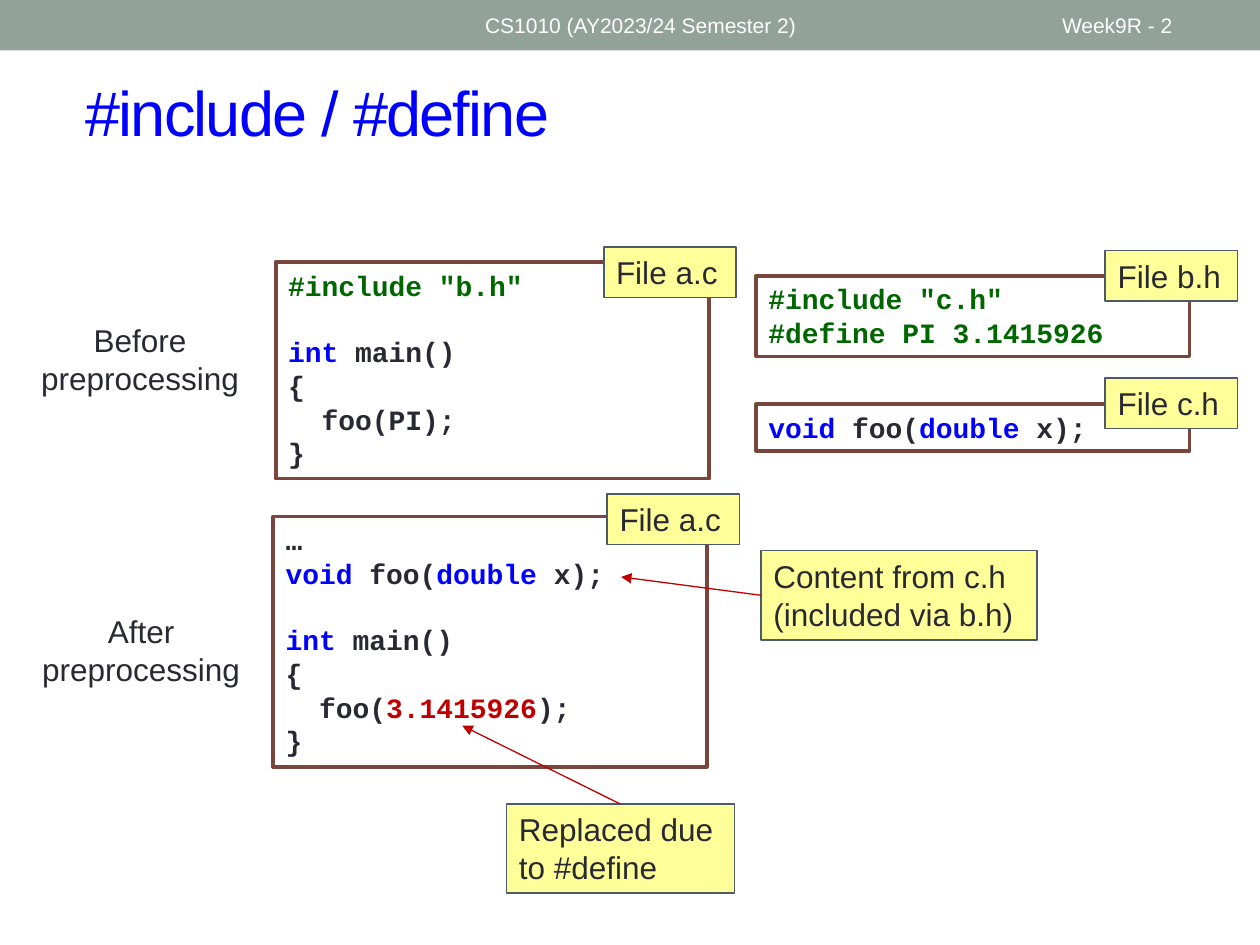
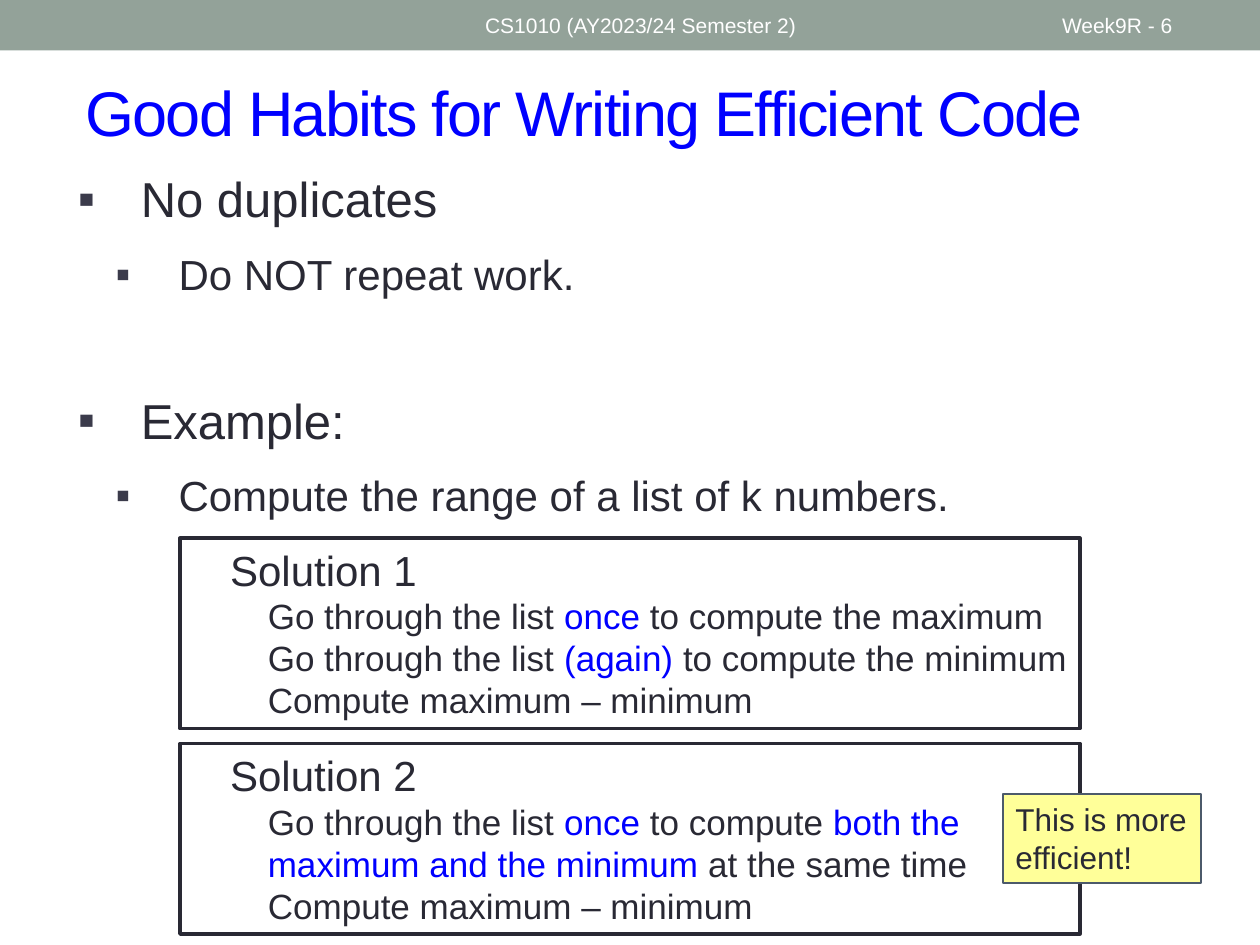
from pptx import Presentation
from pptx.dml.color import RGBColor
from pptx.enum.shapes import MSO_CONNECTOR, MSO_SHAPE
from pptx.enum.text import MSO_ANCHOR, PP_ALIGN
from pptx.oxml.ns import qn
from pptx.util import Cm, Pt
from lxml.etree import SubElement

WHITE = RGBColor(0xFF, 0xFF, 0xFF)
INK = RGBColor(0x29, 0x29, 0x34)
BLUE = RGBColor(0x00, 0x00, 0xFF)
GREEN = RGBColor(0x00, 0x66, 0x00)
RED = RGBColor(0xC0, 0x00, 0x00)
BAND = RGBColor(0x93, 0xA2, 0x99)
BROWN = RGBColor(0x79, 0x46, 0x3D)
YELLOW = RGBColor(0xFF, 0xFF, 0x99)
SLATE = RGBColor(0x4C, 0x5A, 0x6A)
BULLET = RGBColor(0x3B, 0x3B, 0x4B)

SANS, MONO = "Arial", "Courier New"
SLIDE_W, SLIDE_H = 25.4, 19.05
CODE_W = 8.74
TAG_W, TAG_H = 2.67, 1.02
NOTE_H = 1.8
CODE_GAP = 19  # points: one empty line of code


def add_box(slide, box, fill, line=None, width=1):
    s = slide.shapes.add_shape(MSO_SHAPE.RECTANGLE, *map(Cm, box))
    s.shadow.inherit = False
    s.fill.solid()
    s.fill.fore_color.rgb = fill
    if line is None:
        s.line.fill.background()
    else:
        s.line.color.rgb = line
        s.line.width = Pt(width)
    tf = s.text_frame
    tf.word_wrap = True
    tf.vertical_anchor = MSO_ANCHOR.TOP
    tf.margin_right = 0
    return s


def add_text(slide, box, anchor=MSO_ANCHOR.MIDDLE):
    tf = slide.shapes.add_textbox(*map(Cm, box)).text_frame
    tf.word_wrap = True
    tf.vertical_anchor = anchor
    return tf


def add_para(tf, runs, size, font=SANS, color=INK, bold=False, align=PP_ALIGN.LEFT,
             before=0, margin=0, hang=0, bullet=None):
    """Add a paragraph; each run is a text or a (text, colour) pair."""
    p = tf.paragraphs[0]
    if p.runs:
        p = tf.add_paragraph()
    pPr = p._p.get_or_add_pPr()
    pPr.set("marL", str(Cm(margin)))
    pPr.set("indent", str(Cm(-hang)))
    p.alignment = align
    if before:
        p.space_before = Pt(before)
    if bullet:
        clr = SubElement(pPr, qn("a:buClr"))
        SubElement(clr, qn("a:srgbClr"), val=str(BULLET))
        SubElement(pPr, qn("a:buFont"), typeface=SANS)
        SubElement(pPr, qn("a:buChar"), char=bullet)
    for run in runs:
        text, run_color = (run, color) if isinstance(run, str) else run
        r = p.add_run()
        r.text = text
        r.font.size = Pt(size)
        r.font.name = font
        r.font.bold = bold
        r.font.color.rgb = run_color
    return p


def add_frame(prs, title, number):
    """Add a slide with the band, its two captions and the title."""
    slide = prs.slides.add_slide(prs.slide_layouts[6])
    add_box(slide, (0, 0, SLIDE_W, 1.02), BAND)
    p = add_para(add_text(slide, (1.47, 1.07, 23.29, 2.34)), [title], 36, color=BLUE)
    p.runs[0].font._element.set("spc", "-100")
    for left, width, caption in ((9.53, 11.43, "CS1010 (AY2023/24 Semester 2)"),
                                 (21.16, 2.97, f"Week9R - {number}")):
        add_para(add_text(slide, (left, 0.05, width, 0.91)), [caption], 12, color=WHITE)
    return slide


def add_note(slide, box, text):
    s = add_box(slide, box, YELLOW, SLATE)
    add_para(s.text_frame, [text], 18)
    return s


def add_code(slide, left, top, height, lines, name, tag_dx, tag_dy):
    """Add a listing with its file tag; None in lines leaves a line's gap."""
    tf = add_box(slide, (left, top, CODE_W, height), WHITE, BROWN, 2.08).text_frame
    gap = 0
    for line in lines:
        if line is None:
            gap = CODE_GAP
            continue
        add_para(tf, line, 16, MONO, bold=True, before=gap)
        gap = 0
    add_note(slide, (left + tag_dx, top + tag_dy, TAG_W, TAG_H), name)


def add_pointer(slide, note, site, x, y):
    """Draw an arrow from a side of the note to a point."""
    c = slide.shapes.add_connector(MSO_CONNECTOR.STRAIGHT, 0, 0, Cm(x), Cm(y))
    c.begin_connect(note, site)
    c.line.color.rgb = RED
    c.line.width = Pt(0.75)
    SubElement(c.line._get_or_add_ln(), qn("a:tailEnd"), type="triangle")
    SubElement(c._element.spPr, qn("a:effectLst"))


def add_solution(slide, box, heading, steps):
    tf = add_box(slide, box, WHITE, INK, 2.08).text_frame
    add_para(tf, [heading], 24, margin=0.76)
    for step in steps:
        add_para(tf, step, 20, margin=1.52)


def build_preprocessing(prs):
    slide = add_frame(prs, "#include / #define", 2)
    prototype = [("void ", BLUE), "foo(", ("double ", BLUE), "x);"]
    main_head = [[("int ", BLUE), "main()"], ["{"]]

    add_code(slide, 5.56, 5.28, 4.37,
             [[('#include "b.h"', GREEN)], None, *main_head, ["  foo(PI);"], ["}"]],
             "File a.c", 6.61, -0.3)
    add_code(slide, 15.24, 5.56, 1.63,
             [[('#include "c.h"', GREEN)], [("#define PI 3.1415926", GREEN)]],
             "File b.h", 7.04, -0.51)
    add_code(slide, 15.24, 8.15, 0.94, [prototype], "File c.h", 7.04, -0.53)
    add_code(slide, 5.51, 10.41, 5.05,
             [["…"], prototype, None, *main_head,
              ["  foo(", ("3.1415926", RED), ");"], ["}"]],
             "File a.c", 6.73, -0.45)

    for left, top, stage in ((0.41, 5.99, "Before"), (0.43, 11.86, "After")):
        add_para(add_text(slide, (left, top, 4.83, 2.49)),
                 [f"{stage} preprocessing"], 18, align=PP_ALIGN.CENTER)

    replaced = add_note(slide, (10.21, 16.21, 4.6, NOTE_H), "Replaced due to #define")
    add_pointer(slide, replaced, 0, 9.32, 14.63)
    included = add_note(slide, (15.34, 11.1, 5.56, NOTE_H),
                        "Content from c.h (included via b.h)")
    add_pointer(slide, included, 1, 12.52, 11.63)


def build_habits(prs):
    slide = add_frame(prs, "Good Habits for Writing Efficient Code", 6)
    tf = add_text(slide, (1.32, 3.28, 22.07, 14.71), MSO_ANCHOR.TOP)
    for text, size, margin, before in (
            ("No duplicates", 28, 1.27, 0),
            ("Do NOT repeat work.", 24, 2.03, 12),
            ("Example:", 28, 1.27, 52),
            ("Compute the range of a list of k numbers.", 24, 2.03, 12)):
        add_para(tf, [text], size, before=before, margin=margin, hang=1.27, bullet="▪")

    walk, result = "Go through the list ", ["Compute maximum – minimum"]
    solutions = (
        [[walk, ("once", BLUE), " to compute the maximum"],
         [walk, ("(again) ", BLUE), "to compute the minimum"], result],
        [[walk, ("once", BLUE), " to compute ",
          ("both the maximum and the minimum", BLUE), " at the same time"], result])
    for i, steps in enumerate(solutions):
        add_solution(slide, (3.63, 10.85 + 4.14 * i, 18.14, 3.84),
                     f"Solution {i + 1}", steps)
    add_note(slide, (20.22, 16, 3.99, NOTE_H), "This is more efficient!")


def main():
    prs = Presentation()
    prs.slide_width, prs.slide_height = Cm(SLIDE_W), Cm(SLIDE_H)
    build_preprocessing(prs)
    build_habits(prs)
    prs.save("out.pptx")


if __name__ == "__main__":
    main()
